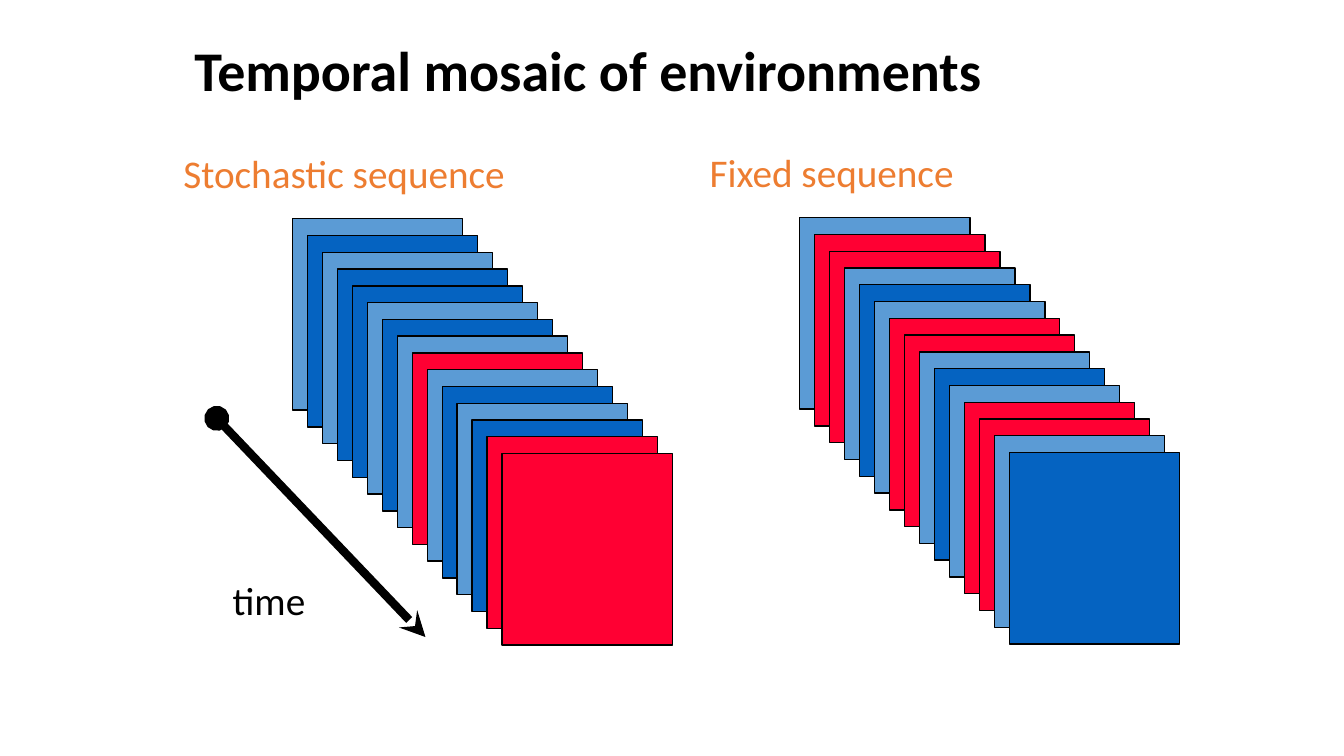
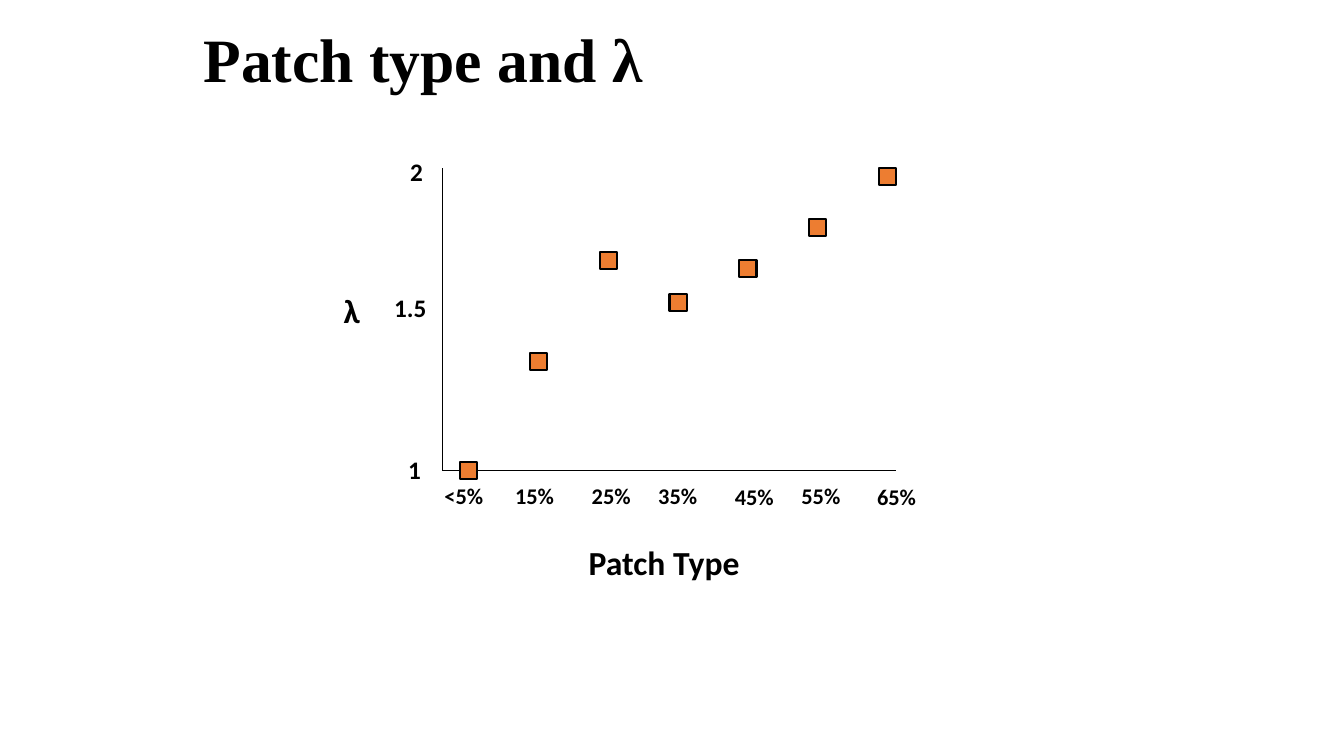
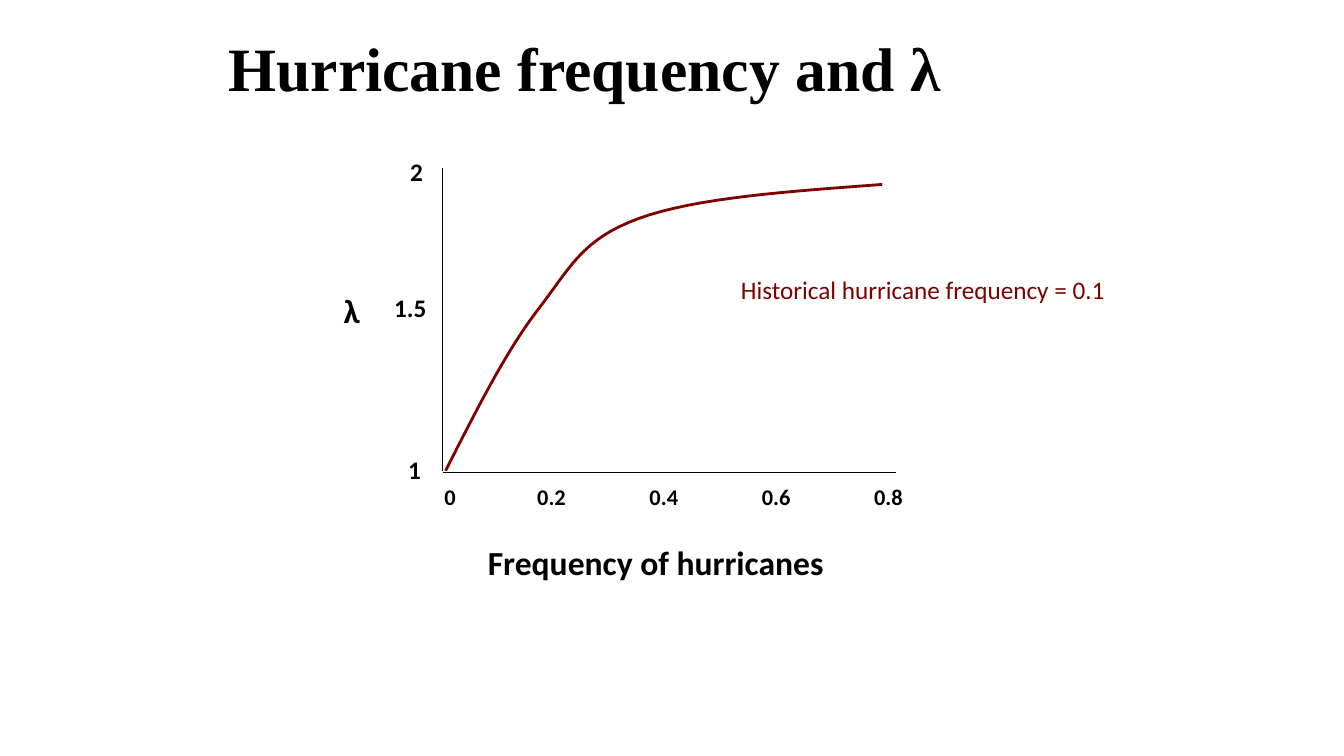
"""Build three slides on mosaics of environments and population growth."""
from pptx import Presentation
from pptx.dml.color import RGBColor
from pptx.enum.shapes import MSO_CONNECTOR as Connector, MSO_SHAPE as Shape
from pptx.enum.text import MSO_ANCHOR as Anchor, MSO_AUTO_SIZE as AutoSize
from pptx.oxml.ns import qn
from pptx.util import Inches, Pt
from lxml.etree import SubElement

BLACK = RGBColor(0x00, 0x00, 0x00)
LIGHT_BLUE = RGBColor(0x5B, 0x9B, 0xD5)
DARK_BLUE = RGBColor(0x05, 0x63, 0xC1)
RED = RGBColor(0xFF, 0x00, 0x33)
ORANGE = RGBColor(0xED, 0x7D, 0x31)
MAROON = RGBColor(0x80, 0x00, 0x00)
BODY_FONT = "Calibri"
SERIF_FONT = "Times New Roman"
PATCH_COLORS = {"L": LIGHT_BLUE, "D": DARK_BLUE, "R": RED}
AXIS_LEFT, AXIS_RIGHT, AXIS_TOP, AXIS_BOTTOM = 4.39, 8.89, 1.67, 4.67


def write_text(frame, text, size=18, color=BLACK, bold=False, font=BODY_FONT, spacing=None):
    para = frame.paragraphs[0]
    para.line_spacing = spacing
    span = para.add_run()
    span.text = text
    span.font.name = font
    span.font.size = Pt(size)
    span.font.bold = bold
    span.font.color.rgb = color


def curve_points(start, segments, steps=16):
    points = [start]
    for first, second, end in segments:
        for step in range(1, steps + 1):
            t = step / steps
            u = 1 - t
            points.append(tuple(
                u**3 * a + 3 * u**2 * t * b + 3 * u * t**2 * c + t**3 * d
                for a, b, c, d in zip(start, first, second, end)))
        start = end
    return points


class SlideMaker:
    def __init__(self, deck):
        self.deck = deck
        self.slide = None

    def new_slide(self, title, left, top, width=9, size=44, font=SERIF_FONT, anchor=Anchor.MIDDLE):
        self.slide = self.deck.slides.add_slide(self.deck.slide_layouts[6])
        box = self.slide.shapes.add_textbox(
            Inches(left), Inches(top), Inches(width), Inches(1.25))
        box.text_frame.word_wrap = True
        box.text_frame.vertical_anchor = anchor
        write_text(box.text_frame, title, size=size, bold=True, font=font, spacing=0.9)

    def label(self, text, left, top, width, height, wrap=False, **style):
        box = self.slide.shapes.add_textbox(
            Inches(left), Inches(top), Inches(width), Inches(height))
        box.text_frame.word_wrap = wrap
        box.text_frame.auto_size = AutoSize.SHAPE_TO_FIT_TEXT
        write_text(box.text_frame, text, **style)

    def rectangle(self, left, top, width, height, color, weight=1):
        box = self.slide.shapes.add_shape(
            Shape.RECTANGLE, Inches(left), Inches(top), Inches(width), Inches(height))
        box.shadow.inherit = False
        box.fill.solid()
        box.fill.fore_color.rgb = color
        box.line.color.rgb = BLACK
        box.line.width = Pt(weight)

    def line(self, start, end, weight=0.75, head=None, tail=None):
        line = self.slide.shapes.add_connector(
            Connector.STRAIGHT, *(Inches(value) for value in (*start, *end)))
        line.line.color.rgb = BLACK
        line.line.width = Pt(weight)
        outline = line.line._get_or_add_ln()
        for tag, kind in (("a:headEnd", head), ("a:tailEnd", tail)):
            if kind:
                SubElement(outline, qn(tag), type=kind)
        SubElement(line._element.spPr, qn("a:effectLst"))

    def curve(self, start, segments, color, weight):
        points = [(Inches(x), Inches(y)) for x, y in curve_points(start, segments)]
        builder = self.slide.shapes.build_freeform(*points[0])
        builder.add_line_segments(points[1:], close=False)
        curve = builder.convert_to_shape()
        curve.shadow.inherit = False
        curve.fill.background()
        curve.line.color.rgb = color
        curve.line.width = Pt(weight)

    def patch_stack(self, left, top, sequence):
        for index, code in enumerate(sequence):
            self.rectangle(left + index * 2.08 / 14, top + index * 2.33 / 14,
                           1.69, 1.9, PATCH_COLORS[code])

    def growth_axes(self, title, title_left, title_width, baseline, ticks):
        self.line((AXIS_LEFT, AXIS_TOP), (AXIS_LEFT, AXIS_BOTTOM))
        self.line((AXIS_LEFT, baseline), (AXIS_RIGHT, baseline))
        self.label(title, title_left, 5.33, title_width, 0.5, size=24, bold=True)
        self.label("λ", 3.31, 2.83, 0.43, 0.5, wrap=True, size=24, bold=True)
        for text, left, top, width in (
                ("1", 3.95, 4.46, 0.34), ("1.5", 3.81, 2.85, 0.52), ("2", 3.97, 1.5, 0.34)):
            self.label(text, left, top, width, 0.4, bold=True)
        for text, left, top, width in ticks:
            self.label(text, left, top, width, 0.37, size=16, bold=True)


def add_mosaic_slide(maker):
    maker.new_slide("Temporal mosaic of environments", 1.83, -0.17, width=9.58,
                    size=40, font=BODY_FONT, anchor=Anchor.BOTTOM)
    maker.line((2.15, 4.15), (4.22, 6.32), weight=6, head="oval", tail="stealth")
    maker.label("time", 2.21, 5.67, 0.94, 0.57, size=28)
    maker.patch_stack(7.93, 2.16, "LRRLD" * 3)
    maker.patch_stack(2.9, 2.17, "LDLDDLDLRLDLDRR")
    maker.label("Fixed sequence", 6.94, 1.42, 2.65, 0.57, size=28, color=ORANGE)
    maker.label("Stochastic sequence", 1.72, 1.43, 3.43, 0.57, size=28, color=ORANGE)


def add_patch_slide(maker):
    maker.new_slide("Patch type and λ", 1.92, 0)
    ticks = [("<5%", 4.31, 4.73), ("15%", 5.01, 4.73), ("25%", 5.77, 4.73),
             ("35%", 6.43, 4.73), ("45%", 7.19, 4.74), ("55%", 7.85, 4.73),
             ("65%", 8.6, 4.74)]
    maker.growth_axes("Patch Type", 5.74, 1.71, AXIS_BOTTOM,
                      [(*tick, 0.59) for tick in ticks])
    for index, top in enumerate((4.58, 3.5, 2.5, 2.92, 2.58, 2.17, 1.67)):
        maker.rectangle(4.56 + index * 4.16 / 6, top, 0.17, 0.17, ORANGE, weight=1.5)


def add_hurricane_slide(maker):
    maker.new_slide("Hurricane frequency and λ", 2.17, 0.08)
    ticks = [("0", 4.31, 4.74, 0.32)]
    ticks += [(text, 5.23 + index * 3.34 / 3, 4.74, 0.49)
              for index, text in enumerate(("0.2", "0.4", "0.6", "0.8"))]
    maker.growth_axes("Frequency of hurricanes", 4.74, 3.56, 4.69, ticks)
    maker.curve((4.42, 4.67), [
        ((4.72, 4.08), (5.01, 3.5), (5.33, 3.08)),
        ((5.65, 2.67), (5.76, 2.38), (6.33, 2.17)),
        ((6.9, 1.96), (7.83, 1.9), (8.75, 1.83)),
    ], MAROON, 2)
    maker.label("Historical hurricane frequency = 0.1", 7.25, 2.67, 3.85, 0.4, color=MAROON)


def main():
    deck = Presentation()
    deck.slide_width = Inches(13.33)
    deck.slide_height = Inches(7.5)
    maker = SlideMaker(deck)
    add_mosaic_slide(maker)
    add_patch_slide(maker)
    add_hurricane_slide(maker)
    deck.save("out.pptx")


if __name__ == "__main__":
    main()
